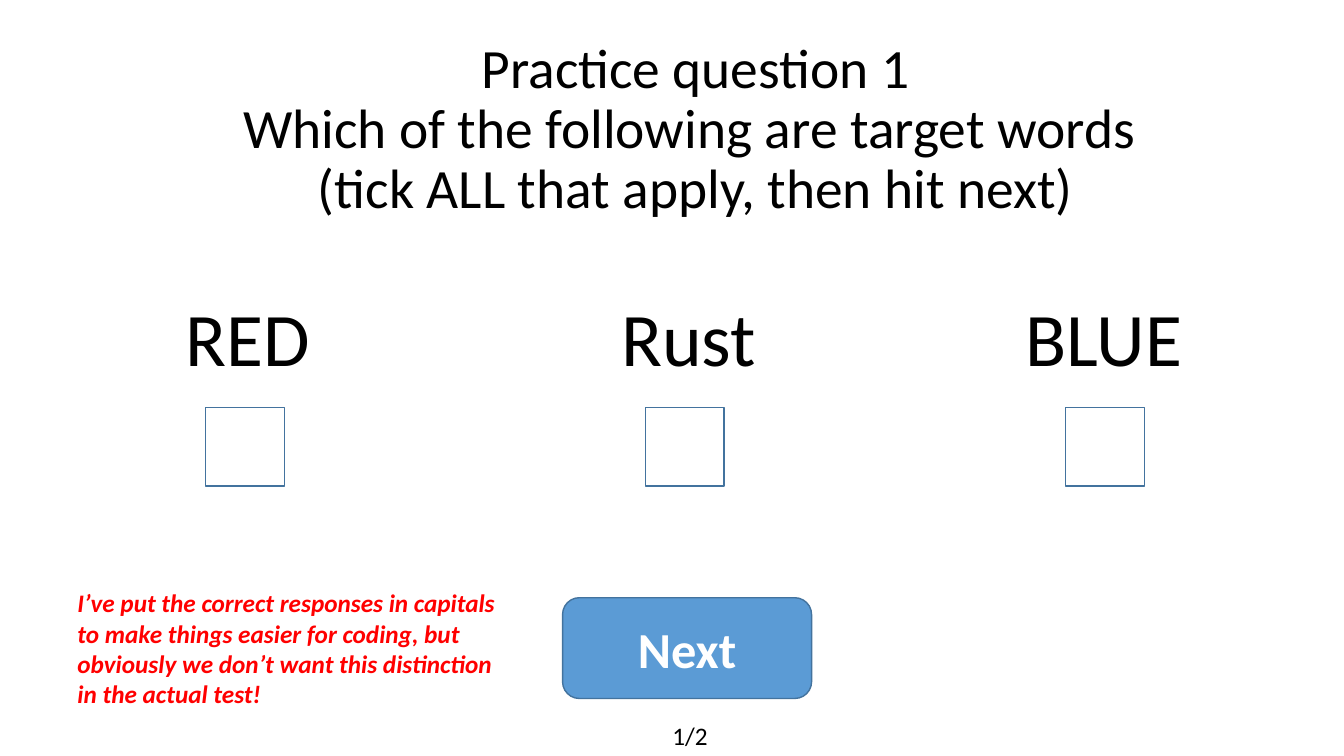
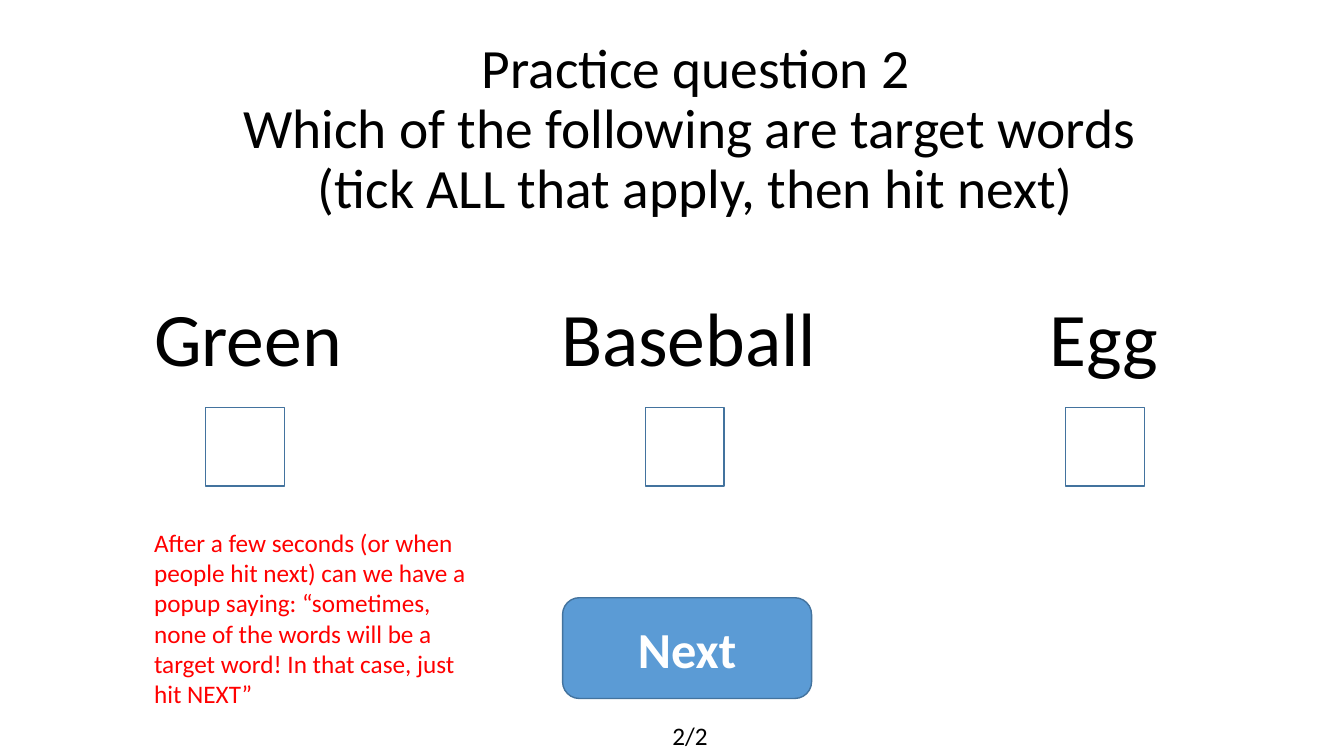
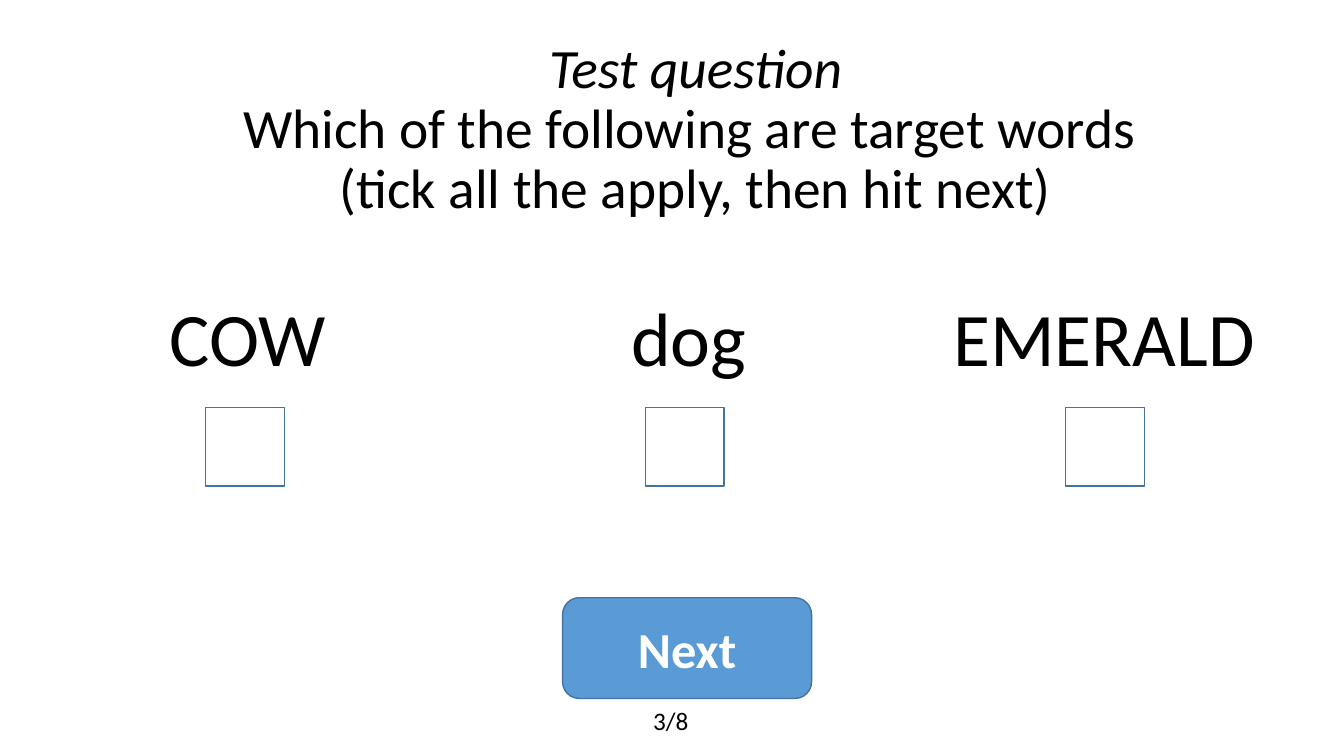
"""Build three word-recognition question slides with tick boxes and a Next button."""
from dataclasses import dataclass
from typing import Optional

import pptx
import pptx.dml.color
import pptx.enum.shapes
import pptx.enum.text
import pptx.util

Inches = pptx.util.Inches
ALIGN = pptx.enum.text.PP_ALIGN
ANCHOR = pptx.enum.text.MSO_ANCHOR
SHAPE = pptx.enum.shapes.MSO_SHAPE

COLOURS = {"text": "000000", "note": "FF0000", "button": "5B9BD5",
           "outline": "43739E", "button_text": "FFFFFF"}
FONT = "Calibri"
WORD_CENTRES = (2.46, 6.83, 10.95)
BOX_LEFTS = (2.04, 6.4, 10.57)
BOX_TOP = 4.04
BOX_SIZE = 0.78


@dataclass(frozen=True)
class Area:
    left: float
    top: float
    width: float
    height: float

    def lengths(self) -> tuple:
        return tuple(Inches(value) for value in
                     (self.left, self.top, self.width, self.height))


@dataclass(frozen=True)
class Style:
    size: float
    colour: str = "text"
    bold: bool = False
    italic: bool = False
    align: ALIGN = ALIGN.LEFT


@dataclass(frozen=True)
class Word:
    text: str
    width: float


@dataclass(frozen=True)
class Note:
    text: str
    area: Area
    style: Style


@dataclass(frozen=True)
class Question:
    heading: str
    instruction: str
    words: tuple[Word, ...]
    counter: str
    counter_area: Area
    note: Optional[Note] = None
    italic_heading: bool = False


TITLE_AREA = Area(1.15, 0.57, 11.5, 1.45)
BUTTON_AREA = Area(5.58, 5.93, 2.47, 1)
PRACTICE_COUNTER = Area(6.57, 7.1, 1.04, 0.4)
TITLE = Style(39.6, align=ALIGN.CENTER)
WORD = Style(54, align=ALIGN.CENTER)
BUTTON = Style(36, "button_text", bold=True, align=ALIGN.CENTER)
COUNTER = Style(18)
PROMPT = "Which of the following are target words "
TICK_ALL = "(tick ALL that apply, then hit next)"

QUESTIONS = (
    Question(
        "Practice question 1", TICK_ALL,
        (Word("RED", 1.58), Word("Rust", 1.94), Word("BLUE", 1.94)),
        "1/2", PRACTICE_COUNTER,
        Note("I’ve put the correct responses in capitals to make things easier "
             "for coding, but obviously we don’t want this distinction in the "
             "actual test!",
             Area(0.67, 5.78, 4.56, 1.31),
             Style(18, "note", bold=True, italic=True))),
    Question(
        "Practice question 2", TICK_ALL,
        (Word("Green", 2.24), Word("Baseball", 2.91), Word("Egg", 1.94)),
        "2/2", PRACTICE_COUNTER,
        Note("After a few seconds (or when people hit next) can we have a popup "
             "saying: “sometimes, none of the words will be a target word! In "
             "that case, just hit NEXT”",
             Area(1.43, 5.18, 3.49, 1.92), Style(18, "note"))),
    Question(
        "Test question", "(tick all the apply, then hit next)",
        (Word("COW", 2.24), Word("dog", 2.91), Word("EMERALD", 3.25)),
        "3/8", Area(6.38, 6.95, 1.01, 0.4), italic_heading=True),
)


def colour(name: str) -> pptx.dml.color.RGBColor:
    return pptx.dml.color.RGBColor.from_string(COLOURS[name])


def write_text(shape, text: str, style: Style):
    shape.text_frame.text = text
    paragraph = shape.text_frame.paragraphs[0]
    paragraph.alignment = style.align
    for run in paragraph.runs:
        run.font.name = FONT
        run.font.size = pptx.util.Pt(style.size)
        run.font.bold = style.bold
        run.font.italic = style.italic
        run.font.color.rgb = colour(style.colour)
    return paragraph


def add_text(slide, area: Area, text: str, style: Style) -> None:
    shape = slide.shapes.add_textbox(*area.lengths())
    write_text(shape, text, style)
    shape.text_frame.word_wrap = True
    shape.text_frame.auto_size = pptx.enum.text.MSO_AUTO_SIZE.SHAPE_TO_FIT_TEXT


def add_outlined(slide, kind: SHAPE, area: Area, fill: Optional[str] = None):
    shape = slide.shapes.add_shape(kind, *area.lengths())
    shape.shadow.inherit = False
    shape.line.color.rgb = colour("outline")
    shape.line.width = pptx.util.Pt(1)
    if fill:
        shape.fill.solid()
        shape.fill.fore_color.rgb = colour(fill)
    else:
        shape.fill.background()
    return shape


def add_title(slide, question: Question) -> None:
    shape = slide.shapes.add_textbox(*TITLE_AREA.lengths())
    lines = (question.heading, PROMPT, question.instruction)
    paragraph = write_text(shape, "\v".join(lines), TITLE)
    paragraph.line_spacing = 0.9
    paragraph.runs[0].font.italic = question.italic_heading
    shape.text_frame.word_wrap = True
    shape.text_frame.vertical_anchor = ANCHOR.MIDDLE


def add_question(presentation, question: Question) -> None:
    slide = presentation.slides.add_slide(presentation.slide_layouts[6])
    for word, centre in zip(question.words, WORD_CENTRES):
        area = Area(centre - word.width / 2, 2.84, word.width, 1.01)
        add_text(slide, area, word.text, WORD)
    for left in BOX_LEFTS:
        add_outlined(slide, SHAPE.RECTANGLE,
                     Area(left, BOX_TOP, BOX_SIZE, BOX_SIZE))
    add_title(slide, question)
    button = add_outlined(slide, SHAPE.ROUNDED_RECTANGLE, BUTTON_AREA, "button")
    write_text(button, "Next", BUTTON)
    button.text_frame.vertical_anchor = ANCHOR.MIDDLE
    add_text(slide, question.counter_area, question.counter, COUNTER)
    if question.note:
        add_text(slide, question.note.area, question.note.text,
                 question.note.style)


def main() -> None:
    presentation = pptx.Presentation()
    presentation.slide_width = Inches(13.33)
    presentation.slide_height = Inches(7.5)
    for question in QUESTIONS:
        add_question(presentation, question)
    presentation.save("out.pptx")


if __name__ == "__main__":
    main()
